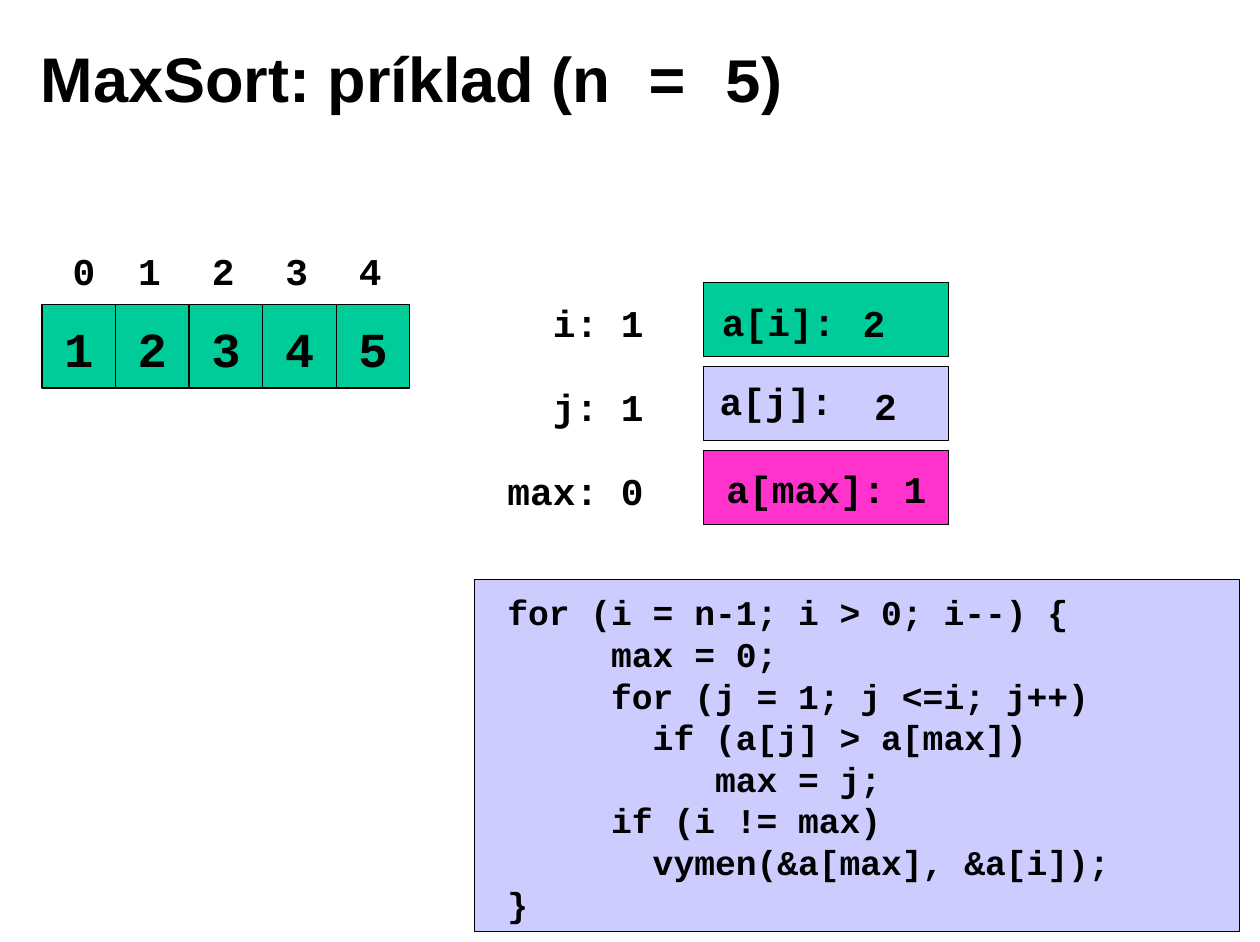
from pptx import Presentation
from pptx.dml.color import RGBColor
from pptx.enum import shapes, text as txt
from pptx.util import Inches, Pt

WIDTH, HEIGHT = 11.1, 8.3
GREEN, LAVENDER, PINK, BLACK = "00CC99", "CCCCFF", "FF33CC", "000000"
MONO, SANS = "Courier New", "Arial"
LEFT, CENTER, RIGHT = txt.PP_ALIGN.LEFT, txt.PP_ALIGN.CENTER, txt.PP_ALIGN.RIGHT
INSET_X, INSET_Y = 0.11, 0.06

ARRAY = [1, 2, 3, 4, 5]

# index, its value, array element, colour, element value,
# then (x, y) of the element name and of its value inside the row's panel
WATCHES = [
    ("i", 1, "a[i]:", GREEN, 2, (0.05, 0.08), (1.29, 0.09)),
    ("j", 1, "a[j]:", LAVENDER, 2, (0.03, 0.04), (1.39, 0.08)),
    ("max", 0, "a[max]:", PINK, 1, (0.09, 0.07), (1.65, 0.07)),
]

CODE = """for (i = n-1; i > 0; i--) {
     max = 0;
     for (j = 1; j <=i; j++)
       if (a[j] > a[max])
          max = j;
     if (i != max)
       vymen(&a[max], &a[i]);
}"""


def color(hex_code):
    return RGBColor.from_string(hex_code)


def write(shape, lines, size=24, align=LEFT, anchor=txt.MSO_ANCHOR.TOP,
          top=INSET_Y, wrap=False):
    """Fill a shape with lines, each a list of (text, font) runs."""
    frame = shape.text_frame
    frame.word_wrap = wrap
    frame.vertical_anchor = anchor
    frame.margin_left = frame.margin_right = Inches(INSET_X)
    frame.margin_top, frame.margin_bottom = Inches(top), Inches(INSET_Y)
    for number, runs in enumerate(lines):
        paragraph = frame.paragraphs[0] if number == 0 else frame.add_paragraph()
        paragraph.alignment = align
        for content, font in runs:
            run = paragraph.add_run()
            run.text = content
            run.font.name, run.font.size, run.font.bold = font, Pt(size), True
            run.font.color.rgb = color(BLACK)


def add_label(slide, box, content, **style):
    label = slide.shapes.add_textbox(*map(Inches, box))
    write(label, [[(str(content), MONO)]], **style)


def add_panel(slide, box, fill):
    panel = slide.shapes.add_shape(shapes.MSO_SHAPE.RECTANGLE, *map(Inches, box))
    panel.shadow.inherit = False
    panel.fill.solid()
    panel.fill.fore_color.rgb = color(fill)
    panel.line.color.rgb = color(BLACK)
    panel.line.width = Pt(0.75)
    return panel


def add_title(slide, box):
    title = slide.shapes.add_textbox(*map(Inches, box))
    runs = [("MaxSort: príklad (", SANS), ("n = 5", MONO), (")", SANS)]
    write(title, [runs], size=40, anchor=txt.MSO_ANCHOR.MIDDLE, wrap=True)


def add_array(slide, box):
    """Draw the indices above a row of equal cells holding the values."""
    left, top, width, height = box
    cell_width, index_height = width / len(ARRAY), 0.56
    for index, value in enumerate(ARRAY):
        x = left + index * cell_width
        indent = 0.16 if index == 0 else 0.09
        add_label(slide, (x + indent, top, 0.42, 0.51), index)
        cell = add_panel(slide, (x, top + index_height, cell_width,
                                 height - index_height), GREEN)
        write(cell, [[(str(value), MONO)]], size=31, align=CENTER, top=0.13)


def add_watches(slide, box):
    """Draw one row per index variable with the element it points at."""
    left, top, width, height = box
    gap, panel_width = 0.09, 2.16
    row_height = (height - gap * (len(WATCHES) - 1)) / len(WATCHES)
    panel_left = left + width - panel_width
    for row, watch in enumerate(WATCHES):
        variable, index, element, fill, value, name_at, value_at = watch
        y = top + row * (row_height + gap)
        add_label(slide, (left, y + 0.09, 1.42, 0.51), f"{variable}: {index}",
                  align=RIGHT)
        add_panel(slide, (panel_left, y, panel_width, row_height), fill)
        for content, (dx, dy) in ((element, name_at), (value, value_at)):
            box_width = 0.2 * len(str(content)) + 2 * INSET_X
            add_label(slide, (panel_left + dx, y + dy, box_width, 0.51), content)


def add_code(slide, box):
    left, top, width, height = box
    add_panel(slide, box, LAVENDER)
    listing = slide.shapes.add_textbox(
        *map(Inches, (left + 0.18, top + 0.04, width - 0.45, height - 0.06)))
    lines = [[(line, MONO)] for line in CODE.splitlines()]
    write(listing, lines, size=22, wrap=True)


def main():
    deck = Presentation()
    deck.slide_width, deck.slide_height = Inches(WIDTH), Inches(HEIGHT)
    slide = deck.slides.add_slide(deck.slide_layouts[6])
    add_title(slide, (0.25, 0.17, 8.92, 1.02))
    add_array(slide, (0.37, 2.12, 3.24, 1.3))
    add_watches(slide, (4.36, 2.49, 4, 2.13))
    add_code(slide, (4.18, 5.11, 6.74, 3.1))
    deck.save("out.pptx")


if __name__ == "__main__":
    main()
